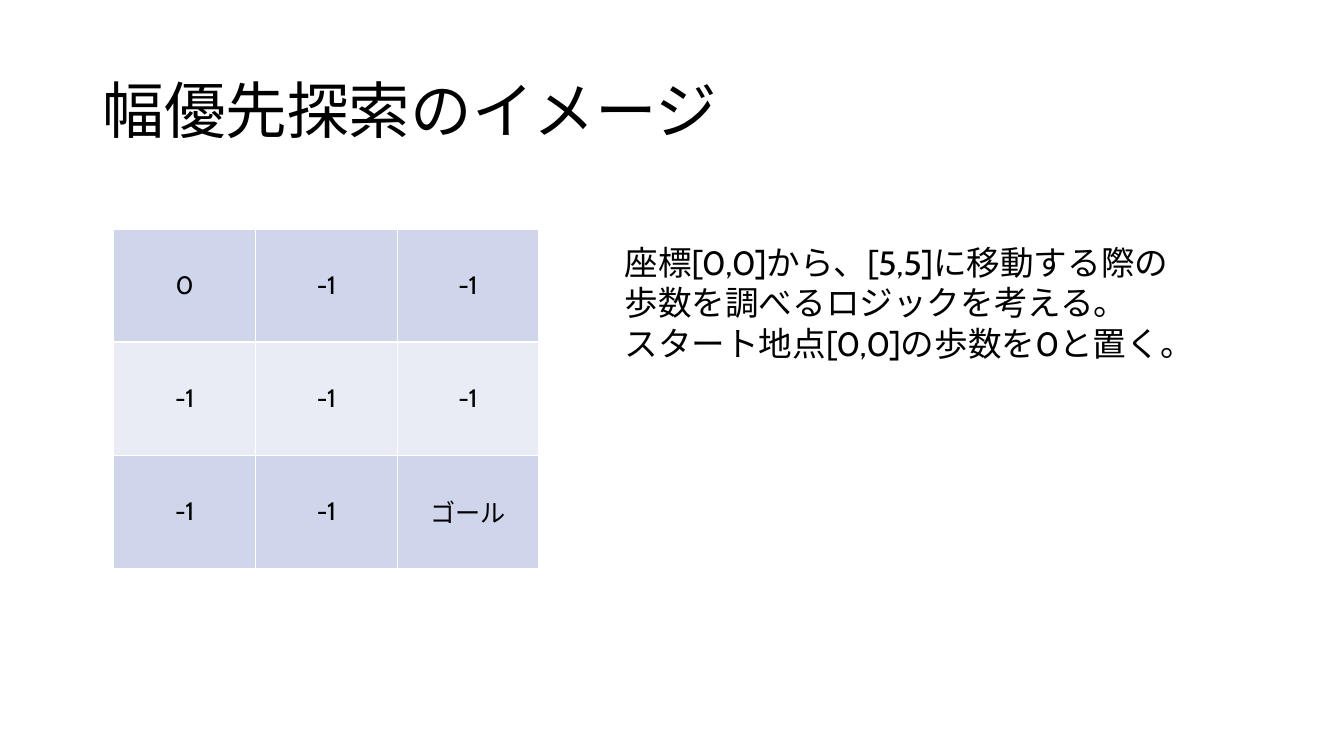
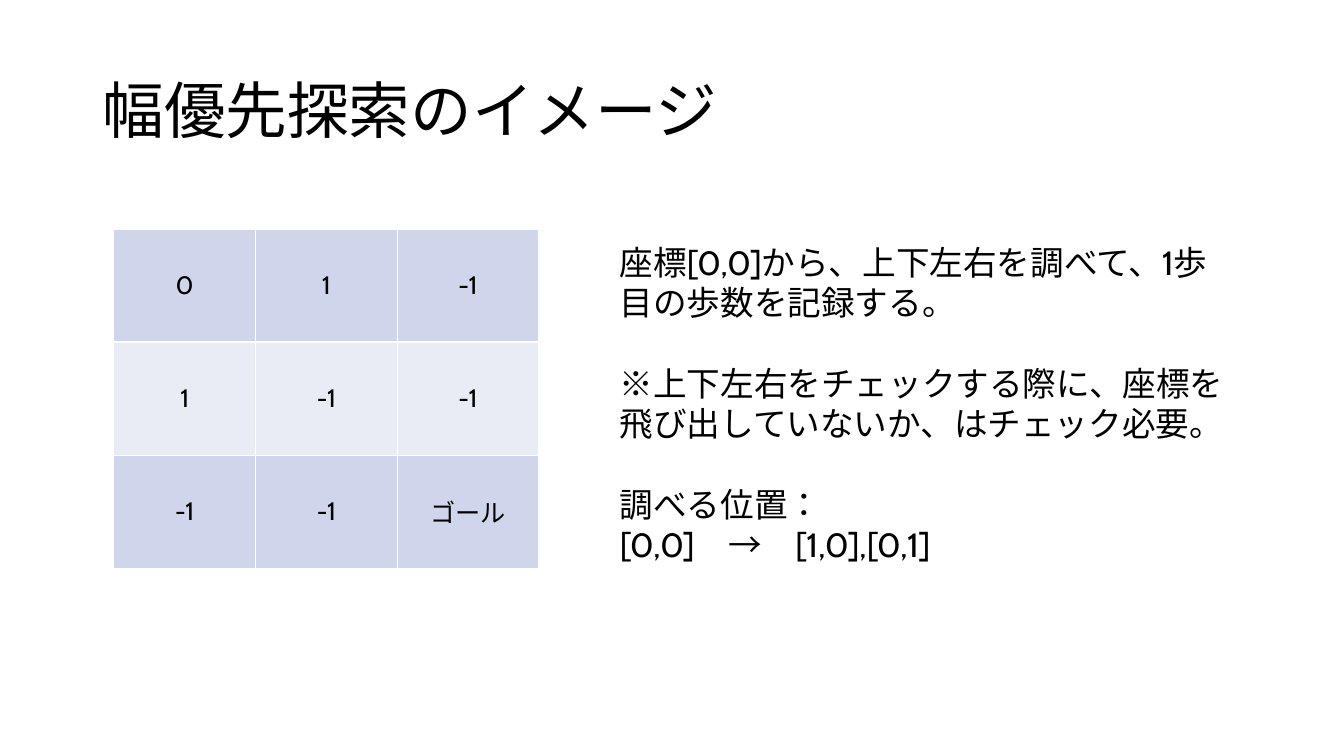
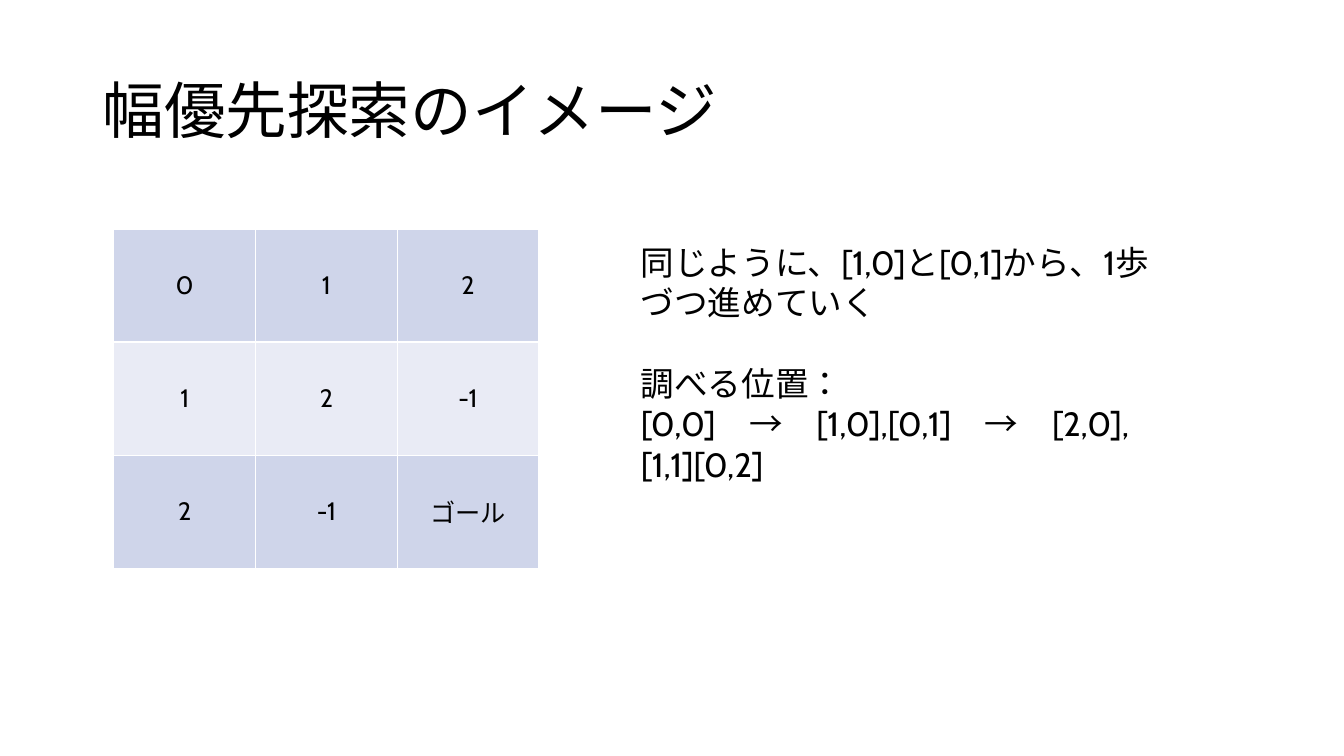
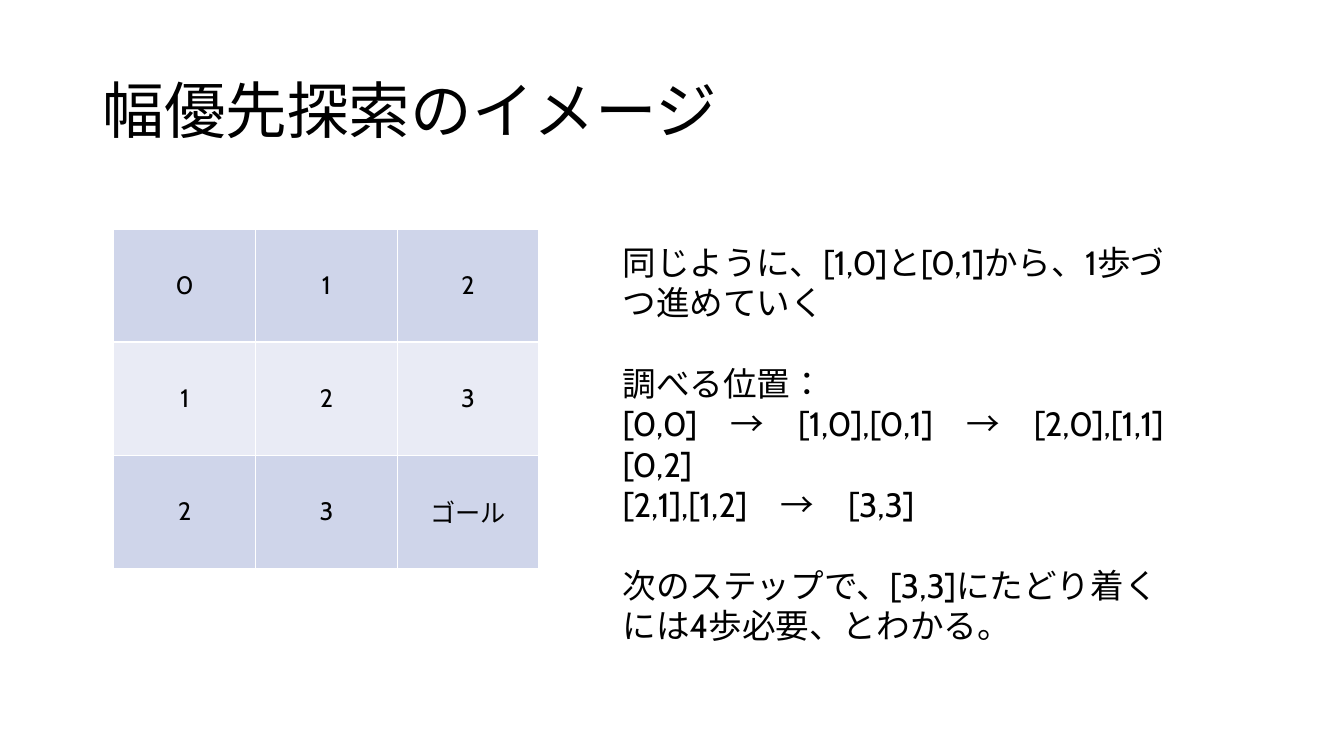
from lxml.etree import SubElement
from pptx import Presentation
from pptx.dml.color import RGBColor
from pptx.enum.lang import MSO_LANGUAGE_ID as Language
from pptx.enum.text import MSO_ANCHOR as Anchor, MSO_AUTO_SIZE as AutoSize, PP_ALIGN as Align
from pptx.oxml.ns import qn
from pptx.util import Cm, Pt

TITLE = "幅優先探索のイメージ"
GOAL = "ゴール"
FIRST_STEP = "[0,0]　→　[1,0],[0,1]"
SECOND_STEP = FIRST_STEP + "　→　[2,0],[1,1][0,2]"
POSITIONS = "調べる位置："
ADVANCE = "同じように、[1,0]と[0,1]から、1歩づつ進めていく"

# Each slide: steps in the grid, box (left, width, height in cm), blocks of lines
SLIDES = [
    {
        "grid": [(0, -1, -1), (-1, -1, -1), (-1, -1, GOAL)],
        "box": (15.49, 14.5, 3.33),
        "blocks": [
            ["座標[0,0]から、[5,5]に移動する際の歩数を調べるロジックを考える。",
             "スタート地点[0,0]の歩数を0と置く。"],
        ],
    },
    {
        "grid": [(0, 1, -1), (1, -1, -1), (-1, -1, GOAL)],
        "box": (15.37, 15.88, 9.5),
        "blocks": [
            ["座標[0,0]から、上下左右を調べて、1歩目の歩数を記録する。"],
            ["※上下左右をチェックする際に、座標を飛び出していないか、はチェック必要。"],
            [POSITIONS, FIRST_STEP],
        ],
    },
    {
        "grid": [(0, 1, 2), (1, 2, -1), (2, -1, GOAL)],
        "box": (15.9, 14.1, 7.44),
        "blocks": [[ADVANCE], [POSITIONS, SECOND_STEP]],
    },
    {
        "grid": [(0, 1, 2), (1, 2, 3), (2, 3, GOAL)],
        "box": (15.44, 14.55, 10.52),
        "blocks": [
            [ADVANCE],
            [POSITIONS, SECOND_STEP, "[2,1],[1,2]　→　[3,3]"],
            ["次のステップで、[3,3]にたどり着くには4歩必要、とわかる。"],
        ],
    },
]

FONT = "Cabin"
BLACK = RGBColor(0x00, 0x00, 0x00)
WHITE = RGBColor(0xFF, 0xFF, 0xFF)
BANDS = (RGBColor(0xCF, 0xD5, 0xEA), RGBColor(0xE9, 0xEB, 0xF5))

GRID_LEFT, GRID_TOP = Cm(2.87), Cm(5.77)
CELL_WIDTH, CELL_HEIGHT = Cm(3.57), Cm(2.85)
BOX_TOP = Cm(5.97)
BLOCK_GAP = Pt(28.8)


def format_runs(paragraph, size):
    """Apply the shared font to every run of a paragraph."""
    for run in paragraph.runs:
        run.font.name = FONT
        run.font.size = Pt(size)
        run.font.color.rgb = BLACK
        run.font.language_id = Language.JAPANESE


def add_title(slide):
    """Place and format the title placeholder."""
    title = slide.shapes.title
    title.left, title.top, title.width, title.height = Cm(2.33), Cm(1.01), Cm(29.21), Cm(3.68)
    frame = title.text_frame
    frame.text = TITLE
    frame.auto_size = AutoSize.NONE
    frame.vertical_anchor = Anchor.MIDDLE
    paragraph = frame.paragraphs[0]
    paragraph.alignment = Align.LEFT
    paragraph.line_spacing = 0.9
    format_runs(paragraph, 44)


def add_borders(cell):
    """Draw a thin white line on all four sides of a cell."""
    properties = cell._tc.get_or_add_tcPr()
    for side in ("a:lnL", "a:lnR", "a:lnT", "a:lnB"):
        line = SubElement(properties, qn(side), w=str(Pt(1)))
        fill = SubElement(line, qn("a:solidFill"))
        SubElement(fill, qn("a:srgbClr"), val=str(WHITE))


def add_grid(slide, grid):
    """Add the table of step counts with alternating row colours."""
    rows, columns = len(grid), len(grid[0])
    table = slide.shapes.add_table(rows, columns, GRID_LEFT, GRID_TOP,
                                   CELL_WIDTH * columns, CELL_HEIGHT * rows).table
    table.first_row = table.horz_banding = False
    for row_index, values in enumerate(grid):
        for column_index, value in enumerate(values):
            cell = table.cell(row_index, column_index)
            add_borders(cell)
            cell.fill.solid()
            cell.fill.fore_color.rgb = BANDS[row_index % len(BANDS)]
            cell.vertical_anchor = Anchor.MIDDLE
            paragraph = cell.text_frame.paragraphs[0]
            paragraph.text = str(value)
            paragraph.alignment = Align.CENTER
            format_runs(paragraph, 18)


def add_explanation(slide, box, blocks):
    """Add the text box, with a gap before each block after the first."""
    left, width, height = (Cm(length) for length in box)
    frame = slide.shapes.add_textbox(left, BOX_TOP, width, height).text_frame
    frame.word_wrap = True
    frame.auto_size = AutoSize.SHAPE_TO_FIT_TEXT
    frame.text = "\n".join(line for block in blocks for line in block)
    paragraphs = iter(frame.paragraphs)
    for block_index, block in enumerate(blocks):
        for line_index in range(len(block)):
            paragraph = next(paragraphs)
            format_runs(paragraph, 24)
            if block_index > 0 and line_index == 0:
                paragraph.space_before = BLOCK_GAP


def main():
    """Build and save the presentation."""
    presentation = Presentation()
    presentation.slide_width, presentation.slide_height = Cm(33.87), Cm(19.05)
    title_only = presentation.slide_layouts[5]
    for content in SLIDES:
        slide = presentation.slides.add_slide(title_only)
        add_title(slide)
        add_grid(slide, content["grid"])
        add_explanation(slide, content["box"], content["blocks"])
    presentation.save("out.pptx")


main()
